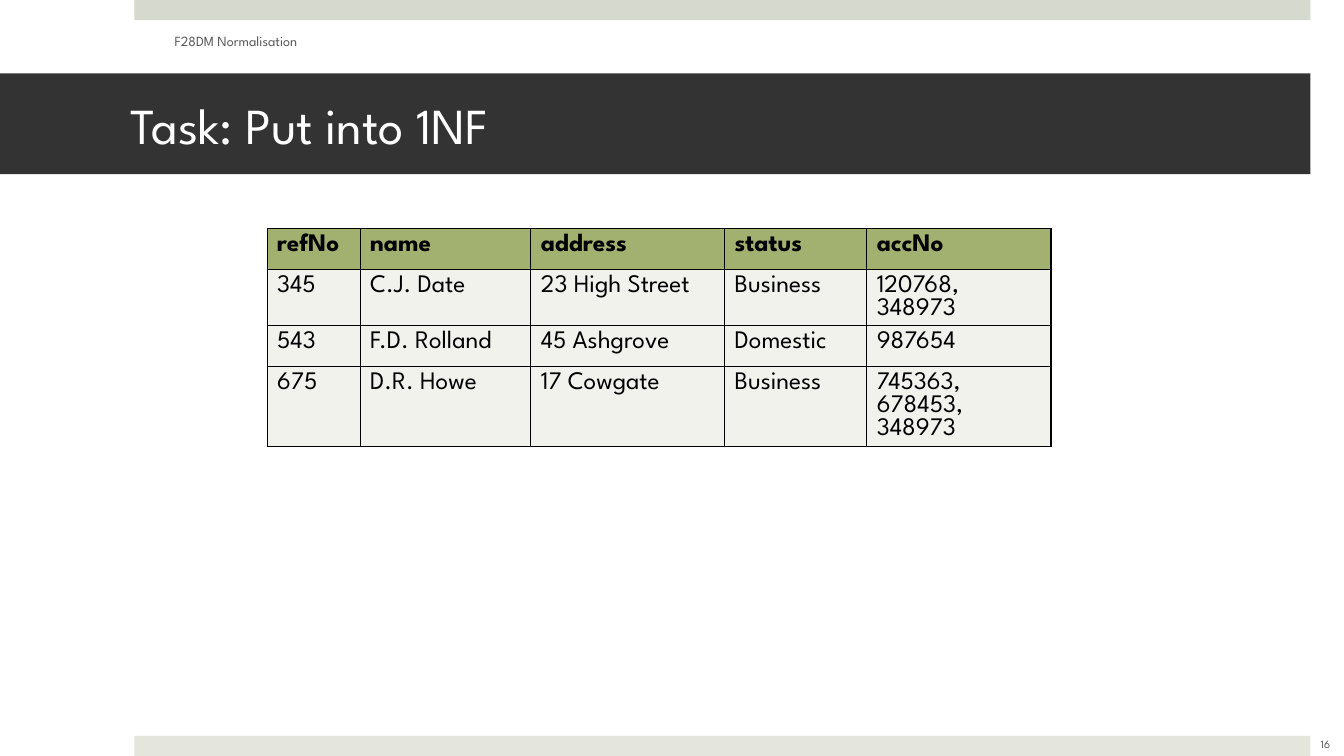
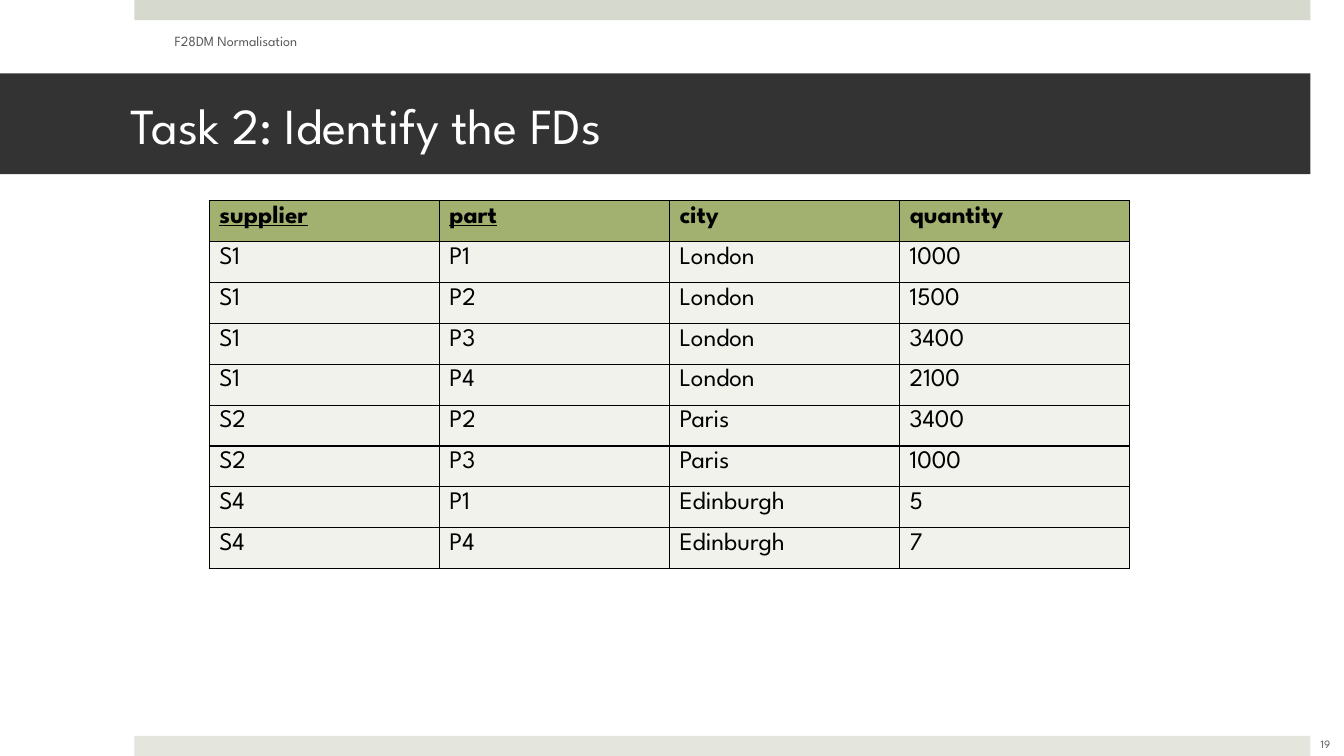
from dataclasses import dataclass

from lxml import etree
from pptx import Presentation
from pptx.dml.color import RGBColor
from pptx.enum.shapes import MSO_SHAPE
from pptx.enum.text import MSO_ANCHOR, PP_ALIGN
from pptx.oxml.ns import qn
from pptx.util import Inches, Pt

RECTANGLE = MSO_SHAPE.RECTANGLE
MIDDLE = MSO_ANCHOR.MIDDLE
LEFT, CENTER = PP_ALIGN.LEFT, PP_ALIGN.CENTER

COLUMNS, ROWS = 160, 90
UNIT = Inches(1) / 12


@dataclass(frozen=True)
class Theme:
    font: str = "League Spartan"
    top_bar: str = "D6D9CD"
    bottom_bar: str = "E4E6DE"
    title_band: str = "333333"
    title_text: str = "FFFFFF"
    footer_text: str = "595959"
    table_text: str = "000000"
    table_border: str = "000000"
    table_header: str = "A2B170"
    table_body: str = "F0F2EB"
    title_size: int = 36
    table_size: int = 18
    footer_size: int = 10
    number_size: int = 8
    border_width: int = 1


@dataclass(frozen=True)
class Box:
    left: float
    top: float
    width: float
    height: float

    def emu(self):
        return [grid(length) for length in (self.left, self.top, self.width, self.height)]


THEME = Theme()
BAR_HEIGHT = 2.4
ROW_HEIGHT = 4.87
TOP_BAR = Box(16, 0, 140, BAR_HEIGHT)
BOTTOM_BAR = Box(16, ROWS - BAR_HEIGHT, 140, BAR_HEIGHT)
TITLE_BAND = Box(0, 8.75, 156, 12)
FOOTER = Box(19.6, 2.5, 50.6, 4.8)
PAGE_NUMBER = Box(153.8, 86.2, 8, 4.8)


def grid(length):
    return round(length * UNIT)


def write_text(frame, text, *, size, color, bold=False, underline=False, align=LEFT):
    frame.word_wrap = True
    paragraph = frame.paragraphs[0]
    paragraph.alignment = align
    run = paragraph.add_run()
    run.text = text
    font = run.font
    font.name = THEME.font
    font.size = Pt(size)
    font.bold = bold
    font.underline = underline
    font.color.rgb = RGBColor.from_string(color)


def add_bar(slide, box, color):
    shape = slide.shapes.add_shape(RECTANGLE, *box.emu())
    shape.shadow.inherit = False
    shape.fill.solid()
    shape.fill.fore_color.rgb = RGBColor.from_string(color)
    shape.line.fill.background()
    return shape


def add_title(slide, box, title):
    frame = add_bar(slide, box, THEME.title_band).text_frame
    frame.vertical_anchor = MIDDLE
    frame.margin_left, frame.margin_right = grid(15.6), grid(3.6)
    write_text(frame, title, size=THEME.title_size, color=THEME.title_text)


def add_label(slide, box, text, **text_format):
    frame = slide.shapes.add_textbox(*box.emu()).text_frame
    frame.vertical_anchor = MIDDLE
    write_text(frame, text, color=THEME.footer_text, **text_format)


def style_cell(cell, color):
    properties = cell._tc.get_or_add_tcPr()
    for side in ("a:lnL", "a:lnR", "a:lnT", "a:lnB"):
        border = etree.SubElement(properties, qn(side), w=str(Pt(THEME.border_width)))
        fill = etree.SubElement(border, qn("a:solidFill"))
        etree.SubElement(fill, qn("a:srgbClr"), val=THEME.table_border)
    cell.fill.solid()
    cell.fill.fore_color.rgb = RGBColor.from_string(color)


def add_relation(slide, left, top, widths, records, keys=()):
    box = Box(left, top, sum(widths), ROW_HEIGHT * len(records))
    table = slide.shapes.add_table(len(records), len(widths), *box.emu()).table
    for column, width in zip(table.columns, widths):
        column.width = grid(width)
    for row_index, record in enumerate(records):
        table.rows[row_index].height = grid(ROW_HEIGHT)
        header = row_index == 0
        for column_index, value in enumerate(record):
            cell = table.cell(row_index, column_index)
            style_cell(cell, THEME.table_header if header else THEME.table_body)
            write_text(cell.text_frame, value, size=THEME.table_size,
                       color=THEME.table_text, bold=header,
                       underline=header and value in keys)


def add_task_slide(presentation, title, number, **relation):
    slide = presentation.slides.add_slide(presentation.slide_layouts[6])
    add_bar(slide, TOP_BAR, THEME.top_bar)
    add_bar(slide, BOTTOM_BAR, THEME.bottom_bar)
    add_title(slide, TITLE_BAND, title)
    add_relation(slide, **relation)
    add_label(slide, FOOTER, "F28DM Normalisation", size=THEME.footer_size)
    add_label(slide, PAGE_NUMBER, str(number), size=THEME.number_size, align=CENTER)


CUSTOMERS = [
    ("refNo", "name", "address", "status", "accNo"),
    ("345", "C.J. Date", "23 High Street", "Business", "120768, 348973"),
    ("543", "F.D. Rolland", "45 Ashgrove", "Domestic", "987654"),
    ("675", "D.R. Howe", "17 Cowgate", "Business", "745363, 678453, 348973"),
]

SUPPLIES = [
    ("supplier", "part", "city", "quantity"),
    ("S1", "P1", "London", "1000"),
    ("S1", "P2", "London", "1500"),
    ("S1", "P3", "London", "3400"),
    ("S1", "P4", "London", "2100"),
    ("S2", "P2", "Paris", "3400"),
    ("S2", "P3", "Paris", "1000"),
    ("S4", "P1", "Edinburgh", "5"),
    ("S4", "P4", "Edinburgh", "7"),
]

presentation = Presentation()
presentation.slide_width = grid(COLUMNS)
presentation.slide_height = grid(ROWS)
add_task_slide(presentation, "Task: Put into 1NF", 16, left=31.8, top=27.2,
               widths=[11.07, 20.33, 23.07, 16.92, 21.94], records=CUSTOMERS)
add_task_slide(presentation, "Task 2: Identify the FDs", 19, left=24.9, top=23.9,
               widths=[27.4] * 4, records=SUPPLIES, keys=("supplier", "part"))
presentation.save("out.pptx")
